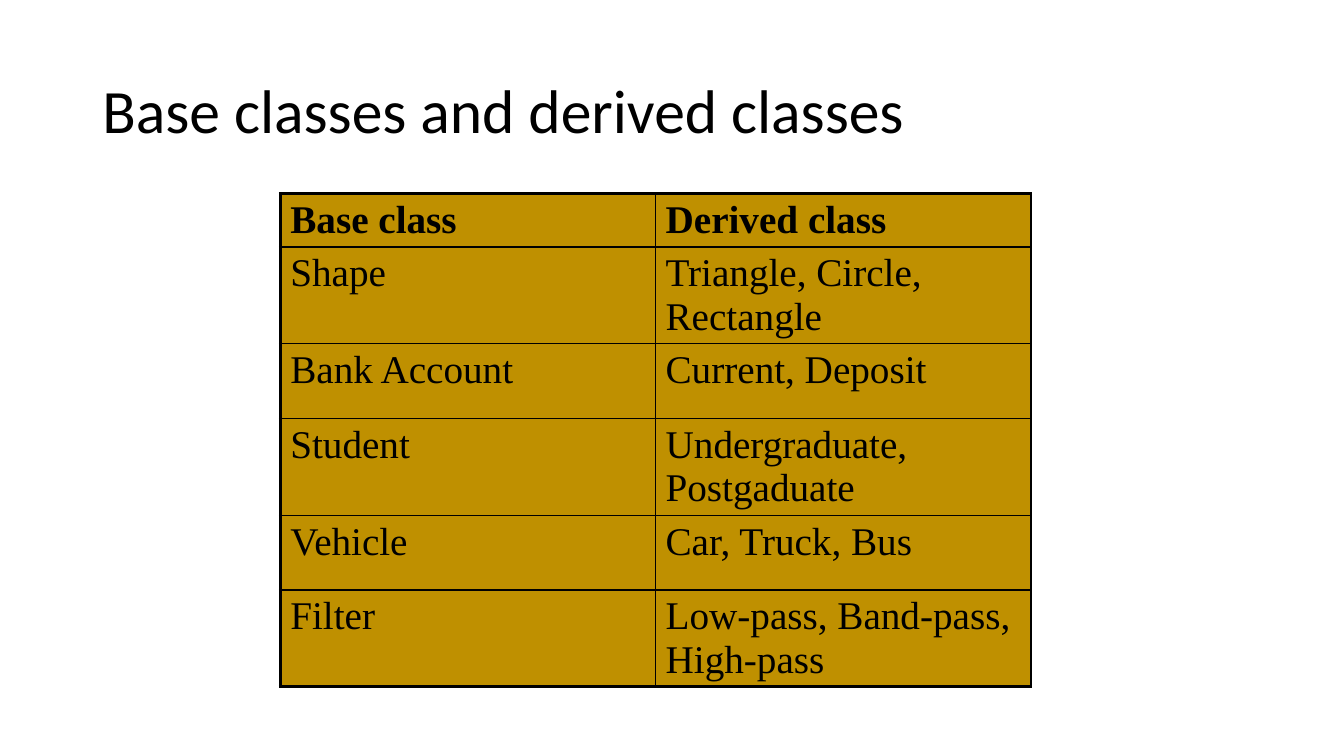
"""Build a slide with a table of base classes and their derived classes."""
from dataclasses import dataclass

from lxml.etree import SubElement
from pptx import Presentation
from pptx.dml.color import RGBColor
from pptx.enum.text import MSO_ANCHOR, MSO_AUTO_SIZE, PP_ALIGN
from pptx.oxml.ns import qn
from pptx.slide import Slide
from pptx.table import _Cell
from pptx.text.text import _Paragraph
from pptx.util import Pt

BLACK = RGBColor(0x00, 0x00, 0x00)
GOLD = RGBColor(0xBF, 0x90, 0x00)
OUTER_LINE, INNER_LINE = Pt(2.25), Pt(1)
COLUMN_WIDTH, HEADER_HEIGHT, ROW_HEIGHT = Pt(268.1), Pt(14.4), Pt(53.3)

TITLE_FONT = {"name": "Calibri", "size": Pt(44), "bold": False}
HEADER_FONT = {"name": "Times New Roman", "size": Pt(28), "bold": True}
BODY_FONT = HEADER_FONT | {"bold": False}
TITLE_BOX = {"left": Pt(66), "top": Pt(28.8), "width": Pt(828), "height": Pt(104.4)}
TITLE_FRAME = {
    "auto_size": MSO_AUTO_SIZE.NONE,
    "vertical_anchor": MSO_ANCHOR.MIDDLE,
    "word_wrap": True,
}
TITLE_PARAGRAPH = {"alignment": PP_ALIGN.LEFT, "line_spacing": 0.9}


@dataclass(frozen=True)
class ClassRow:
    """One table row: a base class and the classes derived from it."""

    base: str
    derived: str


CLASS_ROWS = [
    ClassRow("Base class", "Derived class"),
    ClassRow("Shape", "Triangle, Circle, Rectangle"),
    ClassRow("Bank Account", "Current, Deposit"),
    ClassRow("Student", "Undergraduate, Postgaduate"),
    ClassRow("Vehicle", "Car, Truck, Bus"),
    ClassRow("Filter", "Low-pass, Band-pass, High-pass"),
]


def apply_format(target: object, values: dict) -> None:
    """Set every attribute named in values on the target."""
    for name, value in values.items():
        setattr(target, name, value)


def write_text(paragraph: _Paragraph, text: str, font: dict) -> None:
    """Add black text in the given font to a paragraph."""
    run = paragraph.add_run()
    run.text = text
    apply_format(run.font, font)
    run.font.color.rgb = BLACK


def set_space_before(paragraph: _Paragraph, percent: int) -> None:
    """Set the space before a paragraph as a share of its line."""
    properties = paragraph._p.get_or_add_pPr()
    spacing = SubElement(properties, qn("a:spcBef"))
    SubElement(spacing, qn("a:spcPct"), val=str(percent * 1000))


def set_borders(cell: _Cell, outer_sides: dict[str, bool]) -> None:
    """Draw the four cell borders, thicker on the outer sides."""
    properties = cell._tc.get_or_add_tcPr()
    for side, is_outer in outer_sides.items():
        width = OUTER_LINE if is_outer else INNER_LINE
        line = SubElement(properties, qn(f"a:ln{side}"), w=str(int(width)))
        fill = SubElement(line, qn("a:solidFill"))
        SubElement(fill, qn("a:srgbClr"), val=str(BLACK))


def add_title(slide: Slide, text: str) -> None:
    """Place and format the title."""
    title = slide.shapes.title
    apply_format(title, TITLE_BOX)
    apply_format(title.text_frame, TITLE_FRAME)
    paragraph = title.text_frame.paragraphs[0]
    apply_format(paragraph, TITLE_PARAGRAPH)
    write_text(paragraph, text, TITLE_FONT)


def add_class_table(slide: Slide, rows: list[ClassRow]) -> None:
    """Add the table with one line per class family."""
    last = len(rows) - 1
    height = HEADER_HEIGHT + last * ROW_HEIGHT
    table = slide.shapes.add_table(
        len(rows), 2, Pt(200.2), Pt(138.2), 2 * COLUMN_WIDTH, height
    ).table
    for column in table.columns:
        column.width = COLUMN_WIDTH
    for index, row in enumerate(rows):
        is_header = index == 0
        table.rows[index].height = HEADER_HEIGHT if is_header else ROW_HEIGHT
        for position, text in enumerate((row.base, row.derived)):
            cell = table.cell(index, position)
            paragraph = cell.text_frame.paragraphs[0]
            set_space_before(paragraph, 20)
            write_text(paragraph, text, HEADER_FONT if is_header else BODY_FONT)
            set_borders(
                cell,
                {"L": position == 0, "R": position == 1, "T": is_header, "B": index == last},
            )
            cell.fill.solid()
            cell.fill.fore_color.rgb = GOLD


def main() -> None:
    """Create and save the presentation."""
    presentation = Presentation()
    presentation.slide_width, presentation.slide_height = Pt(960), Pt(540)
    slide = presentation.slides.add_slide(presentation.slide_layouts[5])
    add_title(slide, "Base classes and derived classes")
    add_class_table(slide, CLASS_ROWS)
    presentation.save("out.pptx")


if __name__ == "__main__":
    main()
